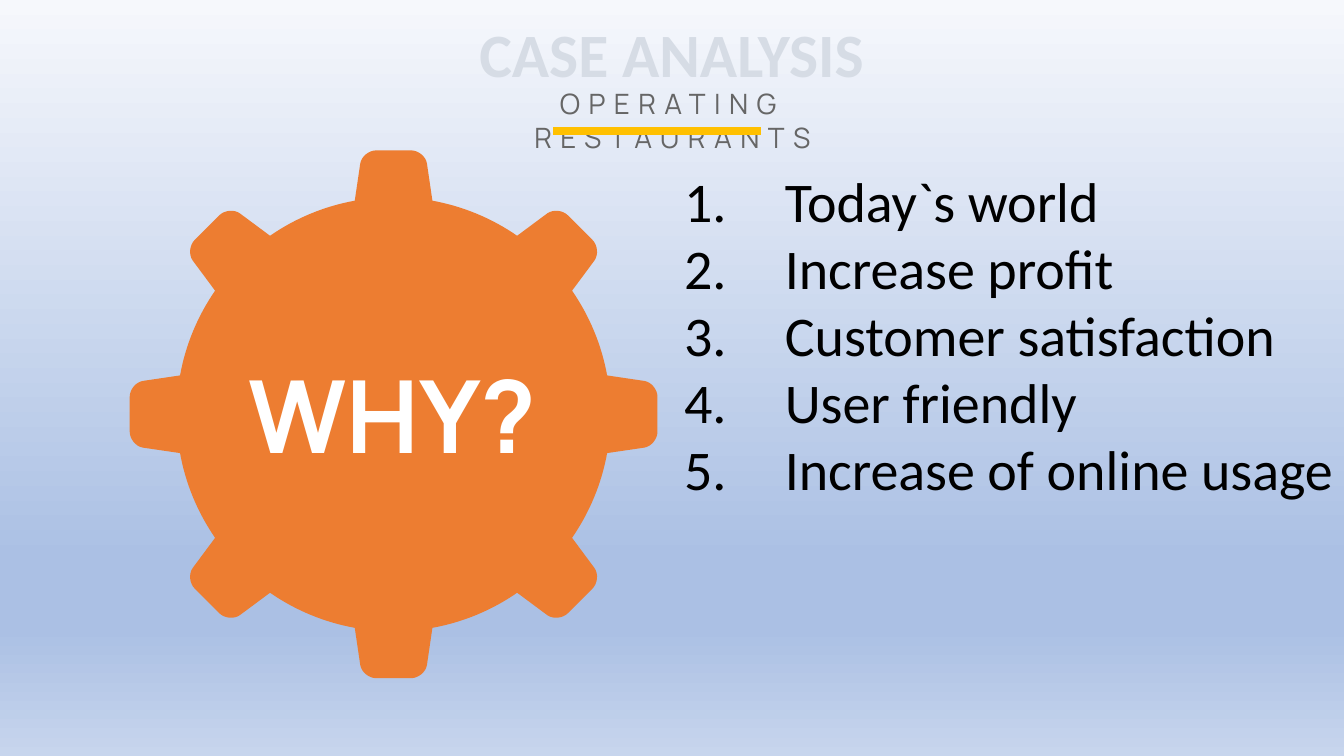
from copy import deepcopy
from math import cos, sin, tan, radians

from pptx import Presentation
from pptx.dml.color import RGBColor as RGB
from pptx.enum.shapes import MSO_CONNECTOR as Link
from pptx.enum.text import MSO_ANCHOR as Anchor, PP_ALIGN as Align
from pptx.oxml.ns import qn
from pptx.util import Cm, Pt

ORANGE = RGB(0xED, 0x7D, 0x31)
GOLD = RGB(0xFF, 0xC0, 0x00)
PALE = RGB(0xD6, 0xDC, 0xE5)
GREY = RGB(0x66, 0x66, 0x66)
WHITE = RGB(0xFF, 0xFF, 0xFF)
BLACK = RGB(0x00, 0x00, 0x00)
SKY = [(0, RGB(0xF6, 0xF8, 0xFC)), (0.74, RGB(0xAB, 0xC0, 0xE4)),
       (0.83, RGB(0xAB, 0xC0, 0xE4)), (1, RGB(0xC7, 0xD5, 0xED))]

deck = Presentation()
deck.slide_width, deck.slide_height = Cm(33.87), Cm(19.05)
slide = deck.slides.add_slide(deck.slide_layouts[6])
shapes = slide.shapes


def add_text(box, lines, form, extra, align=Align.LEFT, anchor=Anchor.TOP):
    frame = shapes.add_textbox(*map(Cm, box)).text_frame
    frame.word_wrap = True
    frame.vertical_anchor = anchor
    frame.text = "\n".join(lines)
    for para in frame.paragraphs:
        para.alignment = align
        font = para.runs[0].font
        font.color.rgb = form["color"]
        for key in ("name", "size", "bold"):
            setattr(font, key, form[key])
        for key, value in extra.items():
            font._element.set(key, value)
    return frame


# Background gradient, top to bottom
fill = slide.background.fill
fill.gradient()
fill.gradient_angle = 270
stops = next(slide._element.iter(qn("a:gsLst")))
for stop in list(stops):
    stops.append(deepcopy(stop))
for stop, (place, color) in zip(fill.gradient_stops, SKY):
    stop.position = place
    stop.color.rgb = color

# Heading
add_text((0.28, 0.28, 33.3, 2.13), ["CASE ANALYSIS"],
         dict(name="Calibri", size=Pt(44), bold=True, color=PALE),
         {"kern": "0"}, Align.CENTER)
add_text((10.61, 2.06, 12.67, 1.12), ["OPERATING RESTAURANTS"],
         dict(name="Manrope", size=Pt(20), bold=False, color=GREY),
         {"spc": "600"}, Align.CENTER)

# Gold rule
rule = shapes.add_connector(Link.STRAIGHT, Cm(13.94), Cm(3.3), Cm(19.18), Cm(3.3))
rule.line.color.rgb = GOLD
rule.line.width = Pt(6)
props = rule._element.spPr
props.append(props.makeelement(qn("a:effectLst"), {}))

# Gear: one tooth and the rim after it, turned eight times
MID_X, MID_Y, RIM, TEETH = 9.92, 10.44, 5.47, 8
BASE = radians(10.3)  # half the angle of a tooth at the rim
CORNER = [(0.84, 6.32), (0.81, 6.5), (0.62, 6.65), (0.44, 6.65)]
pitch = radians(360 / TEETH)
last = pitch - BASE
pull = RIM * 4 / 3 * tan((last - BASE) / 4)
foot, end = ((RIM * sin(a), RIM * cos(a)) for a in (BASE, last))
rim = [(foot[0] + pull * cos(BASE), foot[1] - pull * sin(BASE)),
       (end[0] - pull * cos(last), end[1] + pull * sin(last)), end]
tooth = [(-x, y) for x, y in CORNER] + CORNER[::-1] + [foot] + rim
CURVES = (1, 5, 9)  # where the three curves of a tooth begin

dots = []
for num in range(TEETH):
    turn = num * pitch
    for x, y in tooth:
        dots.append((Cm(MID_X + x * cos(turn) + y * sin(turn)),
                     Cm(MID_Y + x * sin(turn) - y * cos(turn))))
path = shapes.build_freeform(*dots[-1])
path.add_line_segments(dots, close=True)
gear = path.convert_to_shape()
lines = list(gear._element.iter(qn("a:lnTo")))
for start in range(0, len(dots), len(tooth)):
    for first in CURVES:
        trio = lines[start + first:start + first + 3]
        curve = trio[0].makeelement(qn("a:cubicBezTo"), {})
        trio[0].addprevious(curve)
        for line in trio:
            curve.append(line[0])
            line.getparent().remove(line)
gear.shadow.inherit = False
gear.fill.solid()
gear.fill.fore_color.rgb = ORANGE
gear.line.fill.background()

add_text((4.83, 8.75, 10.13, 3.33), ["WHY?"],
         dict(name="Manrope", size=Pt(72), bold=True, color=WHITE),
         {}, Align.CENTER, Anchor.MIDDLE)

# Numbered reasons
why = add_text((16.99, 4.06, 17.2, 8.81),
               ["Today`s world", "Increase profit", "Customer satisfaction",
                "User friendly", "Increase of online usage"],
               dict(name="Calibri", size=Pt(40), bold=False, color=BLACK),
               {"kern": "0"})
for para in why.paragraphs:
    props = para._p.get_or_add_pPr()
    for key, size in {"marL": Cm(2.54), "indent": Cm(-2.54)}.items():
        props.set(key, str(int(size)))
    props.append(props.makeelement(qn("a:buAutoNum"), {"type": "arabicPeriod"}))

deck.save("out.pptx")
